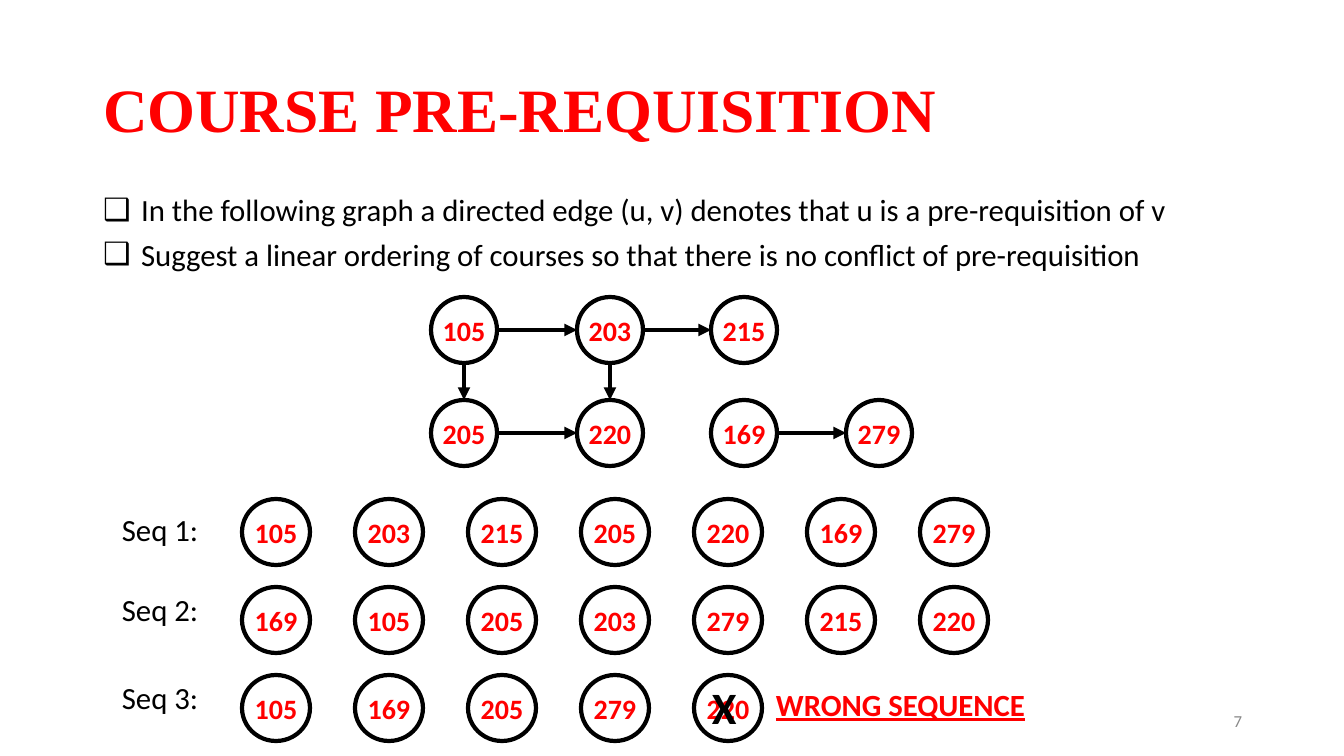
"""Builds the course pre-requisition slide: a graph and three orderings."""
from lxml import etree
from pptx import Presentation, util as u
from pptx.dml.color import RGBColor
from pptx.enum import shapes, text
from pptx.oxml.ns import qn

COLORS = {"red": "FF0000", "black": "000000", "grey": "888888"}
NODE = 66
SEQ_LEFT, SEQ_TOP, SEQ_STEP, SEQ_ROW, SEQ_WIDTH = 242, 499, 113, 88, 68

COLUMNS = (431, 577, 711, 846)
ROWS = (297, 400)
COURSES = {"105": (0, 0), "203": (1, 0), "215": (2, 0),
           "205": (0, 1), "220": (1, 1), "169": (2, 1), "279": (3, 1)}
EDGES = (("105", "203"), ("203", "215"), ("105", "205"),
         ("205", "220"), ("203", "220"), ("169", "279"))
SEQUENCES = (
    ("Seq 1:", 506, ("105", "203", "215", "205", "220", "169", "279")),
    ("Seq 2:", 586, ("169", "105", "205", "203", "279", "215", "220")),
    ("Seq 3:", 674, ("105", "169", "205", "279", "220")),
)
POINTS = (
    "In the following graph a directed edge (u, v) denotes that u is a pre-requisition of v",
    "Suggest a linear ordering of courses so that there is no conflict of pre-requisition",
)


def px(length):
    """Turn pixels into EMU."""
    return u.Emu(round(length * 914400 / 100.8))


def color(name):
    """Look up a named colour."""
    return RGBColor.from_string(COLORS[name])


def add_span(para, words, size, tint, bold=False, underline=False, font="Calibri"):
    """Add one formatted run to a paragraph."""
    span = para.add_run()
    span.text = words
    span.font.name = font
    span.font.size = u.Pt(size)
    span.font.bold = bold
    span.font.underline = underline
    span.font.color.rgb = color(tint)


def place(shape, left, top, width, height):
    """Move and size a placeholder."""
    shape.left, shape.top = px(left), px(top)
    shape.width, shape.height = px(width), px(height)


def add_label(page, area, words, size, tint, align=text.PP_ALIGN.LEFT, **style):
    """Add a one-line text box."""
    box = page.shapes.add_textbox(*map(px, area))
    box.text_frame.word_wrap = True
    para = box.text_frame.paragraphs[0]
    para.alignment = align
    add_span(para, words, size, tint, **style)


def add_course(page, course, left, top, width):
    """Add a circle holding a course number."""
    circle = page.shapes.add_shape(
        shapes.MSO_SHAPE.OVAL, px(left), px(top), px(width), px(NODE))
    circle.shadow.inherit = False
    circle.fill.background()
    circle.line.color.rgb = color("black")
    circle.line.width = u.Pt(3)
    frame = circle.text_frame
    frame.word_wrap = False
    frame.vertical_anchor = text.MSO_ANCHOR.MIDDLE
    frame.margin_left = frame.margin_right = frame.margin_top = frame.margin_bottom = 0
    para = frame.paragraphs[0]
    para.alignment = text.PP_ALIGN.CENTER
    add_span(para, course, 20, "red", bold=True)


def add_arrow(page, start, end):
    """Add an arrow from the rim of one course circle to the next."""
    (col, row), (end_col, end_row) = COURSES[start], COURSES[end]
    half = NODE // 2
    if row == end_row:
        y = ROWS[row] + half
        ends = (COLUMNS[col] + NODE, y, COLUMNS[end_col], y)
    else:
        x = COLUMNS[col] + half
        ends = (x, ROWS[row] + NODE, x, ROWS[end_row])
    arrow = page.shapes.add_connector(shapes.MSO_CONNECTOR.STRAIGHT, *map(px, ends))
    arrow.line.color.rgb = color("black")
    arrow.line.width = u.Pt(3)
    etree.SubElement(arrow.line._get_or_add_ln(), qn("a:tailEnd"), type="triangle")
    etree.SubElement(arrow._element.spPr, qn("a:effectLst"))


def fill_title(page):
    """Write the slide title."""
    title = page.shapes.title
    place(title, 93, 40, 1159, 146)
    frame = title.text_frame
    frame.auto_size = text.MSO_AUTO_SIZE.NONE
    frame.vertical_anchor = text.MSO_ANCHOR.MIDDLE
    para = frame.paragraphs[0]
    para.alignment = text.PP_ALIGN.LEFT
    para.line_spacing = 0.9
    add_span(para, "COURSE PRE-REQUISITION", 44, "red", bold=True, font="Times New Roman")


def fill_points(page):
    """Write the bulleted list."""
    body = page.placeholders[1]
    place(body, 93, 186, 1137, 93)
    frame = body.text_frame
    frame.auto_size = text.MSO_AUTO_SIZE.NONE
    for index, words in enumerate(POINTS):
        para = frame.add_paragraph() if index else frame.paragraphs[0]
        props = para._p.get_or_add_pPr()
        props.set("marL", str(px(38)))
        props.set("indent", str(-px(38)))
        etree.SubElement(props, qn("a:buChar"), char="❑")
        para.line_spacing = 1.0
        para.space_before = u.Pt(5.5 if index else 0)
        add_span(para, words, 22, "black")


def main():
    """Build and save the deck."""
    deck = Presentation()
    deck.slide_width, deck.slide_height = px(1344), px(756)
    page = deck.slides.add_slide(deck.slide_layouts[1])
    fill_title(page)
    fill_points(page)
    for course, (col, row) in COURSES.items():
        add_course(page, course, COLUMNS[col], ROWS[row], NODE)
    for start, end in EDGES:
        add_arrow(page, start, end)
    for row, (name, label_top, courses) in enumerate(SEQUENCES):
        add_label(page, (112, label_top, 101, 47), name, 22, "black")
        for index, course in enumerate(courses):
            add_course(page, course, SEQ_LEFT + SEQ_STEP * index,
                       SEQ_TOP + SEQ_ROW * row, SEQ_WIDTH)
    add_label(page, (766, 681, 336, 47), "WRONG SEQUENCE", 22, "red",
              bold=True, underline=True)
    add_label(page, (702, 675, 66, 65), "X", 32, "black", bold=True)
    add_label(page, (950, 706, 302, 30), "7", 12, "grey", align=text.PP_ALIGN.RIGHT)
    deck.save("out.pptx")


if __name__ == "__main__":
    main()
